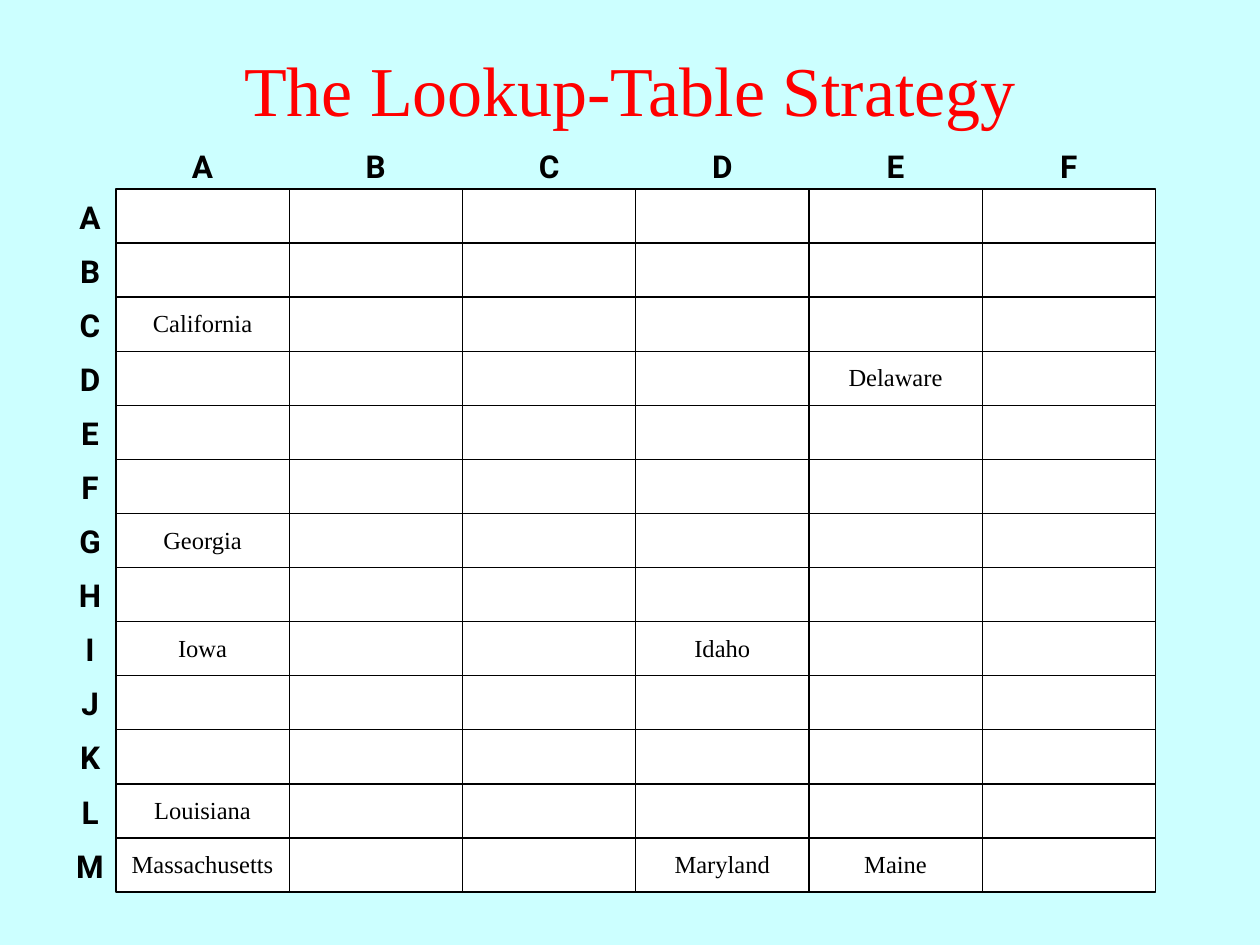
from dataclasses import dataclass

from lxml.etree import SubElement
from pptx import Presentation
from pptx.dml.color import RGBColor
from pptx.enum.shapes import MSO_CONNECTOR as Connector, MSO_SHAPE as Shape
from pptx.enum.text import MSO_ANCHOR as Anchor, MSO_AUTO_SIZE as AutoSize, PP_ALIGN as Align
from pptx.oxml.ns import qn
from pptx.util import Inches, Pt

BLACK, WHITE, RED, SKY = "000000", "FFFFFF", "FF0000", "CCFFFF"
COLUMNS, ROWS = "ABCDEF", "ABCDEFGHIJKLM"
LEFT, TOP, WIDTH, HEIGHT = 0.92, 1.5, 8.25, 5.58
COLUMN_WIDTH = WIDTH / len(COLUMNS)
ROW_HEIGHT = HEIGHT / len(ROWS)


@dataclass(frozen=True)
class TextStyle:
    font: str
    size: int
    color: str = BLACK
    bold: bool = False


@dataclass(frozen=True)
class Entry:
    state: str
    column: str
    row: str


TITLE = TextStyle("Times New Roman", 40, RED)
LABEL = TextStyle("Roboto", 18, bold=True)
STATE = TextStyle("Times New Roman", 14)

ENTRIES = [
    Entry("California", "A", "C"),
    Entry("Delaware", "E", "D"),
    Entry("Georgia", "A", "G"),
    Entry("Iowa", "A", "I"),
    Entry("Idaho", "D", "I"),
    Entry("Louisiana", "A", "L"),
    Entry("Massachusetts", "A", "M"),
    Entry("Maryland", "D", "M"),
    Entry("Maine", "E", "M"),
]


def rgb(color: str) -> RGBColor:
    return RGBColor.from_string(color)


def column_left(index: int) -> float:
    return LEFT + index * COLUMN_WIDTH


def row_top(index: int) -> float:
    return TOP + index * ROW_HEIGHT


def add_text(page, text: str, style: TextStyle, left: float, top: float,
             width: float, height: float):
    box = page.shapes.add_textbox(*map(Inches, (left, top, width, height)))
    frame = box.text_frame
    frame.text = text
    frame.word_wrap = True
    para = frame.paragraphs[0]
    para.alignment = Align.CENTER
    font = para.runs[0].font
    font.name, font.size, font.bold = style.font, Pt(style.size), style.bold
    font.color.rgb = rgb(style.color)
    return frame


def add_label(page, text: str, style: TextStyle, left: float, top: float,
              width: float, height: float) -> None:
    frame = add_text(page, text, style, left, top, width, height)
    frame.auto_size = AutoSize.SHAPE_TO_FIT_TEXT


def add_rule(page, x1: float, y1: float, x2: float, y2: float):
    rule = page.shapes.add_connector(Connector.STRAIGHT, *map(Inches, (x1, y1, x2, y2)))
    rule.line.color.rgb = rgb(BLACK)
    rule.line.width = Pt(0.75)
    SubElement(rule.element.spPr, qn("a:effectLst"))
    return rule


def add_grid(page) -> None:
    panel = page.shapes.add_shape(Shape.RECTANGLE, *map(Inches, (LEFT, TOP, WIDTH, HEIGHT)))
    panel.shadow.inherit = False
    panel.fill.solid()
    panel.fill.fore_color.rgb = rgb(WHITE)
    panel.line.color.rgb = rgb(BLACK)
    panel.line.width = Pt(0.75)
    for row in range(len(ROWS) + 1):
        add_rule(page, LEFT, row_top(row), LEFT + WIDTH, row_top(row))
    for column in range(1, len(COLUMNS) + 1):
        x = column_left(column)
        rule = add_rule(page, x, TOP, x, TOP + HEIGHT)
        if column * 2 == len(COLUMNS):
            rule.begin_connect(panel, 0)
            rule.end_connect(panel, 2)


def main() -> None:
    deck = Presentation()
    deck.slide_width, deck.slide_height = Inches(10), Inches(7.5)
    page = deck.slides.add_slide(deck.slide_layouts[6])
    page.background.fill.solid()
    page.background.fill.fore_color.rgb = rgb(SKY)

    title = add_text(page, "The Lookup-Table Strategy", TITLE, 0, 0.08, 10, 1.25)
    title.vertical_anchor = Anchor.MIDDLE
    add_grid(page)
    for index, letter in enumerate(COLUMNS):
        add_label(page, letter, LABEL, column_left(index), 1.12, COLUMN_WIDTH, 0.4)
    for index, letter in enumerate(ROWS):
        add_label(page, letter, LABEL, 0.38, row_top(index) + 0.02, 0.67, 0.4)
    for entry in ENTRIES:
        left = column_left(COLUMNS.index(entry.column))
        top = row_top(ROWS.index(entry.row)) + 0.04
        add_label(page, entry.state, STATE, left, top, COLUMN_WIDTH, 0.34)
    deck.save("out.pptx")


if __name__ == "__main__":
    main()
